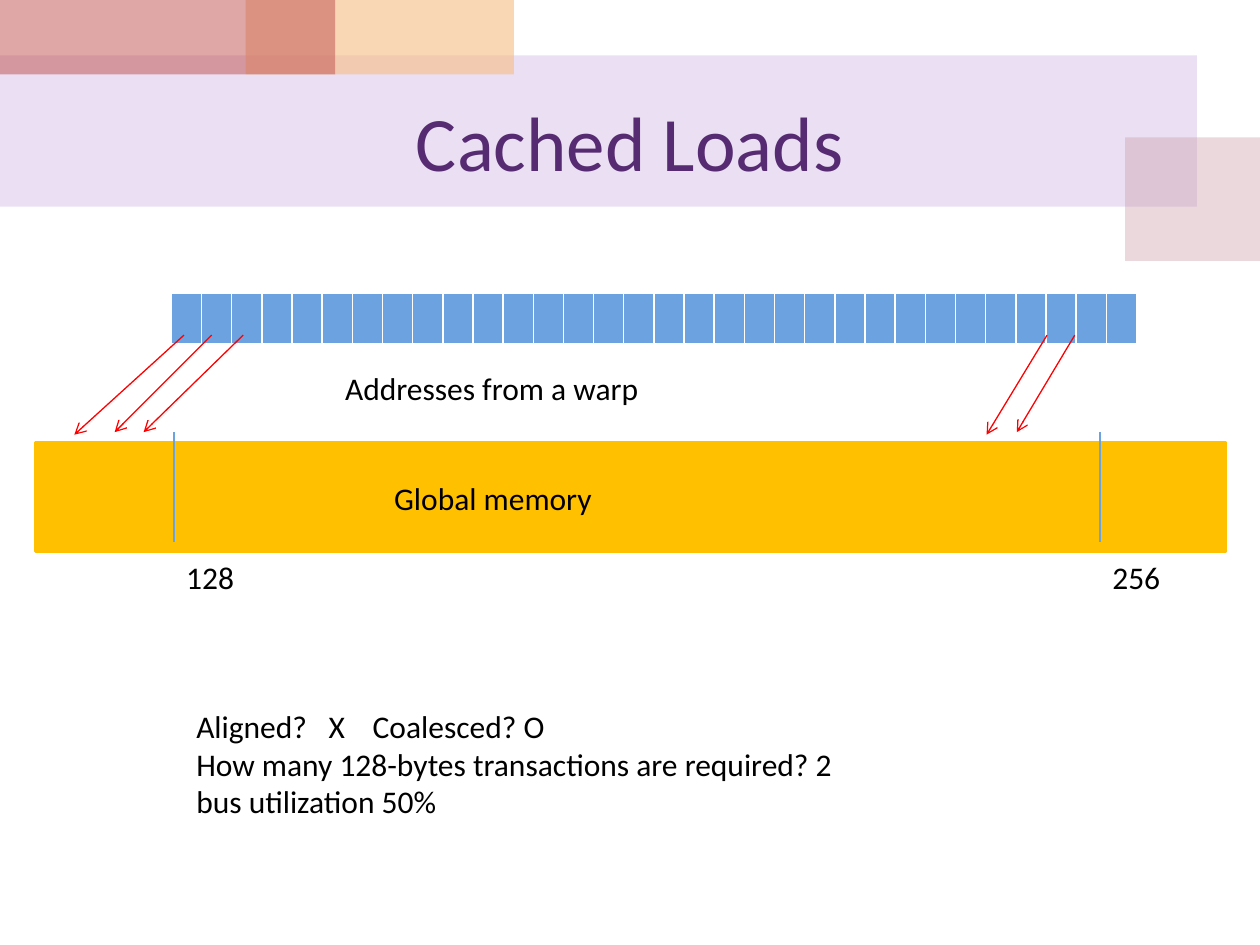
from lxml import etree
from pptx import Presentation
from pptx.dml.color import RGBColor
from pptx.enum.shapes import MSO_CONNECTOR, MSO_SHAPE
from pptx.enum.text import MSO_ANCHOR, MSO_AUTO_SIZE, PP_ALIGN
from pptx.oxml.ns import qn
from pptx.util import Inches, Pt

RECTANGLE = MSO_SHAPE.RECTANGLE
STRAIGHT = MSO_CONNECTOR.STRAIGHT
MIDDLE, TOP = MSO_ANCHOR.MIDDLE, MSO_ANCHOR.TOP
CENTER, LEFT = PP_ALIGN.CENTER, PP_ALIGN.LEFT
GROW = MSO_AUTO_SIZE.SHAPE_TO_FIT_TEXT

BODY = {"name": "Calibri", "size": Pt(18), "color": "000000"}
TITLE = {"name": "Calibri", "size": Pt(44), "color": "562B71"}
THREADS = 32
BLUE, AMBER, RED = "6BA2DF", "FFC000", "FF0000"


def paint(color_format, color):
    color_format.rgb = RGBColor.from_string(color)


def add_rectangle(slide, left, top, width, height, color, opacity=100, outline=None):
    shape = slide.shapes.add_shape(
        RECTANGLE, Inches(left), Inches(top), Inches(width), Inches(height))
    shape.shadow.inherit = False
    shape.fill.solid()
    paint(shape.fill.fore_color, color)
    if opacity < 100:
        fill_color = shape.fill._xPr.find(qn("a:solidFill"))[0]
        etree.SubElement(fill_color, qn("a:alpha"), val=str(opacity * 1000))
    if outline:
        paint(shape.line.color, color)
        shape.line.width = Pt(outline)
    else:
        shape.line.fill.background()


def add_line(slide, start, end, color, arrow=False):
    connector = slide.shapes.add_connector(
        STRAIGHT, *(Inches(length) for length in (*start, *end)))
    paint(connector.line.color, color)
    connector.line.width = Pt(0.75)
    if arrow:
        line = connector.line._get_or_add_ln()
        etree.SubElement(line, qn("a:tailEnd"), type="arrow")
    etree.SubElement(connector._element.spPr, qn("a:effectLst"))


def add_text(slide, left, top, width, height, lines, style=BODY,
             alignment=LEFT, anchor=TOP, tabs=()):
    box = slide.shapes.add_textbox(
        Inches(left), Inches(top), Inches(width), Inches(height))
    frame = box.text_frame
    frame.word_wrap = True
    frame.vertical_anchor = anchor
    if style is BODY:
        frame.auto_size = GROW
    for index, text in enumerate(lines):
        paragraph = frame.add_paragraph() if index else frame.paragraphs[0]
        paragraph.alignment = alignment
        if "\t" in text:
            tab_list = etree.SubElement(
                paragraph._p.get_or_add_pPr(), qn("a:tabLst"))
            for position in tabs:
                etree.SubElement(tab_list, qn("a:tab"),
                                 pos=str(Inches(position)), algn="l")
        run = paragraph.add_run()
        run.text = text
        for name, value in style.items():
            if name == "color":
                paint(run.font.color, value)
            else:
                setattr(run.font, name, value)


def add_header(slide, left, top):
    for x, y, width, height, color, opacity in (
            (0, 0.44, 9.5, 1.2, "BF98D8", 30),
            (8.93, 1.09, 1.07, 0.98, "CC9EAC", 40),
            (1.95, 0, 2.13, 0.59, "F5BC83", 60),
            (0, 0, 2.66, 0.59, "C0504D", 50)):
        add_rectangle(slide, left + x, top + y, width, height, color, opacity)
    add_text(slide, left + 0.5, top + 0.59, 9, 1.05, ["Cached Loads"],
             TITLE, CENTER, MIDDLE)


def add_memory(slide, left, top, width, height):
    add_rectangle(slide, left, top, width, height, AMBER, outline=1.5)
    for offset, address in ((1.1, "128"), (8.45, "256")):
        x = left + offset
        add_line(slide, (x, top - 0.08), (x, top + 0.79), BLUE)
        add_text(slide, x, top + height, 0.84, 0.4, [address])
    add_text(slide, left + 2.75, top + 0.24, 2.83, 0.4, ["Global memory"])


def add_warp(slide, left, top, width, height):
    table = slide.shapes.add_table(
        1, THREADS, Inches(left), Inches(top), Inches(width), Inches(height)).table
    for column, cell in zip(table.columns, table.rows[0].cells):
        column.width = Inches(width / THREADS)
        cell.fill.solid()
        paint(cell.fill.fore_color, BLUE)
    for start, end, drop in ((0.1, -0.77, 1.12), (0.32, -0.45, 1.1),
                             (0.57, -0.22, 1.1), (6.95, 6.47, 1.12),
                             (7.17, 6.71, 1.1)):
        add_line(slide, (left + start, top + 0.33), (left + end, top + drop),
                 RED, arrow=True)
    add_text(slide, left + 1.28, top + 0.55, 4.41, 0.4, ["Addresses from a warp"])


def add_answers(slide, left, top, width, height):
    add_text(slide, left, top, width, height, [
        "Aligned?\tX\tCoalesced? O",
        "How many 128-bytes transactions are required? 2",
        "bus utilization 50%",
    ], tabs=(1.05, 1.4))


def main():
    presentation = Presentation()
    presentation.slide_width = Inches(10)
    presentation.slide_height = Inches(7.5)
    slide = presentation.slides.add_slide(presentation.slide_layouts[6])
    add_header(slide, 0, 0)
    add_memory(slide, 0.28, 3.51, 9.45, 0.87)
    add_warp(slide, 1.36, 2.33, 7.65, 0.4)
    add_answers(slide, 1.46, 5.56, 7.56, 1.01)
    presentation.save("out.pptx")


if __name__ == "__main__":
    main()
